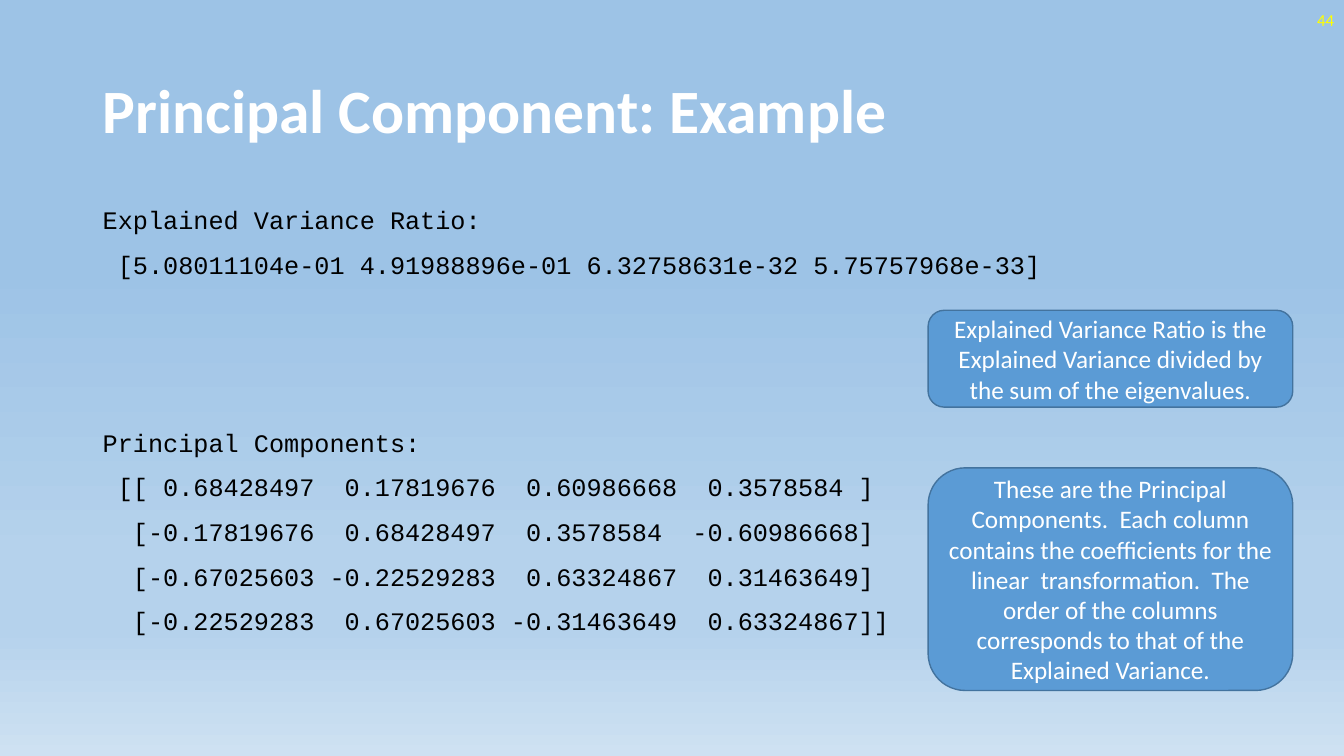
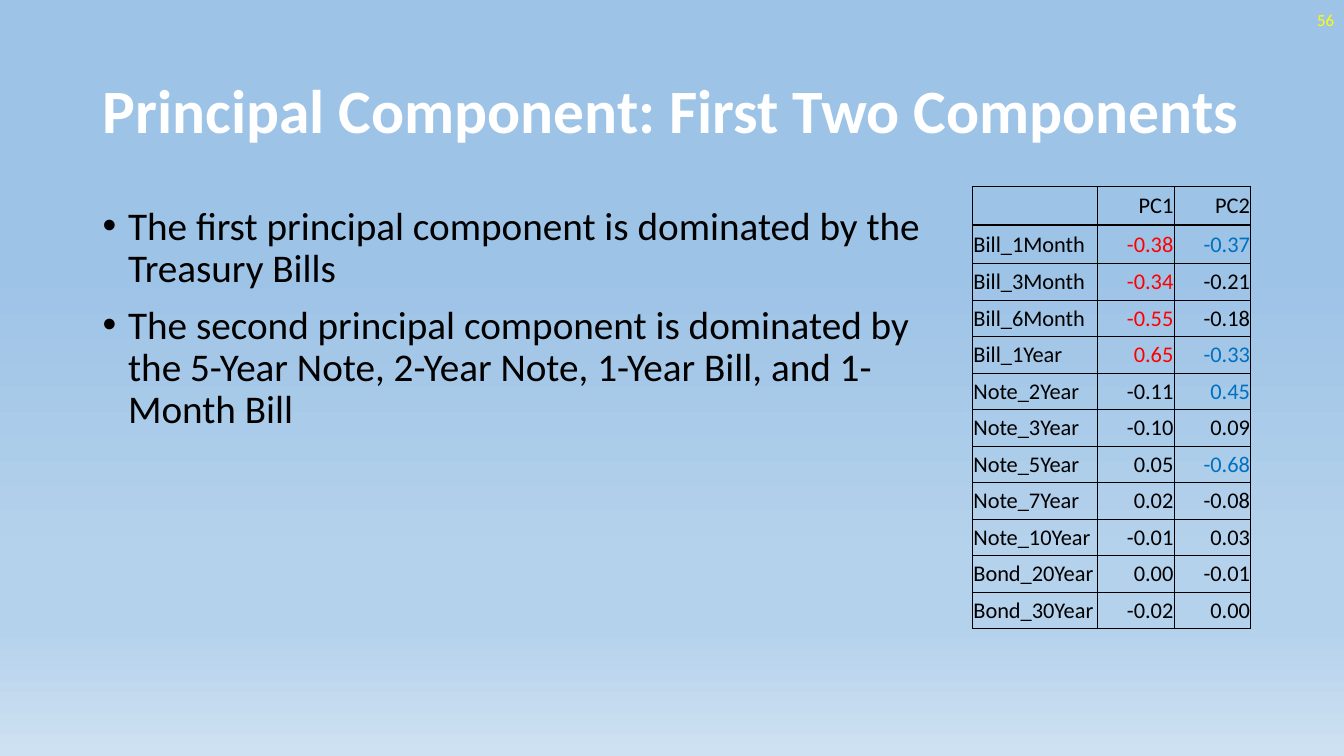
from lxml import etree
from pptx import Presentation
from pptx.dml.color import RGBColor
from pptx.enum import shapes, text
from pptx.oxml import ns
from pptx.util import Cm, Pt

# Content
VARIANCE_SLIDE = {
    "title": "Principal Component: Example",
    "number": "44",
    "outputs": [
        ["Explained Variance Ratio:",
         " [5.08011104e-01 4.91988896e-01 6.32758631e-32 5.75757968e-33]"],
        ["Principal Components:",
         " [[ 0.68428497  0.17819676  0.60986668  0.3578584 ]",
         "  [-0.17819676  0.68428497  0.3578584  -0.60986668]",
         "  [-0.67025603 -0.22529283  0.63324867  0.31463649]",
         "  [-0.22529283  0.67025603 -0.31463649  0.63324867]]"],
    ],
    # top and height in cm, then the wording
    "callouts": [
        (7.82, 2.44, "Explained Variance Ratio is the Explained Variance divided by "
                     "the sum of the eigenvalues."),
        (11.79, 5.61, "These are the Principal Components.  Each column contains the "
                      "coefficients for the linear  transformation.  The order of the "
                      "columns corresponds to that of the Explained Variance."),
    ],
}
LOADINGS_SLIDE = {
    "title": "Principal Component: First Two Components",
    "number": "56",
    "bullets": [
        "The first principal component is dominated by the Treasury Bills",
        "The second principal component is dominated by the 5-Year Note, "
        "2-Year Note, 1-Year Bill, and 1-Month Bill",
    ],
    "header": ("", "PC1", "PC2"),
    "loadings": [
        ("Bill_1Month", -0.38, -0.37),
        ("Bill_3Month", -0.34, -0.21),
        ("Bill_6Month", -0.55, -0.18),
        ("Bill_1Year", 0.65, -0.33),
        ("Note_2Year", -0.11, 0.45),
        ("Note_3Year", -0.10, 0.09),
        ("Note_5Year", 0.05, -0.68),
        ("Note_7Year", 0.02, -0.08),
        ("Note_10Year", -0.01, 0.03),
        ("Bond_20Year", 0.00, -0.01),
        ("Bond_30Year", -0.02, 0.00),
    ],
}

# Shared style
COLORS = {"title": "FFFFFF", "body": "000000", "number": "FFFF00",
          "callout": "5B9BD5", "outline": "43739E", "callout_text": "FFFFFF",
          "PC1": "FF0000", "PC2": "0070C0", "grid": "000000"}
BACKGROUND = [(35, "9DC3E6"), (74, "B5D2EC"), (83, "B5D2EC"), (100, "CEE1F2")]
SANS, MONO = "Calibri", "Courier New"
LEFT = 2.34
OUTPUT_TOP, OUTPUT_PITCH = 4.88, 1.12
OUTPUT_STARTS = (0, 5)      # line on which each printed block begins
DOMINANT = 0.3              # loadings at least this large are coloured
COLUMN_WIDTHS = (3.15, 1.93, 1.93)
ROW_HEIGHTS = [0.97] * 2 + [0.92] * 10


def rgb(name):
    return RGBColor.from_string(COLORS[name])


def write(paragraph, wording, size, color, font=SANS, bold=False):
    run = paragraph.add_run()
    run.text = wording
    run.font.size, run.font.name, run.font.bold = Pt(size), font, bold
    run.font.color.rgb = rgb(color)


def paragraphs(frame, count):
    return [frame.paragraphs[0]] + [frame.add_paragraph() for _ in range(count - 1)]


def add_text_frame(slide, left, top, width, height, anchor=text.MSO_ANCHOR.TOP):
    frame = slide.shapes.add_textbox(Cm(left), Cm(top), Cm(width), Cm(height)).text_frame
    frame.word_wrap = True
    frame.vertical_anchor = anchor
    return frame


def set_background(master):
    fill = master.background.fill
    fill.gradient()
    fill.gradient_angle = 270
    stops = next(master.element.cSld.iter(ns.qn("a:gsLst")))
    for stop in list(stops):
        stops.remove(stop)
    for percent, color in BACKGROUND:
        stop = etree.SubElement(stops, ns.qn("a:gs"), pos=str(percent * 1000))
        etree.SubElement(stop, ns.qn("a:srgbClr"), val=color)


def add_slide(prs, content):
    slide = prs.slides.add_slide(prs.slide_layouts[6])
    title = add_text_frame(slide, LEFT, 1.02, 29.21, 3.68, text.MSO_ANCHOR.MIDDLE)
    title.paragraphs[0].line_spacing = 0.9
    write(title.paragraphs[0], content["title"], 44, "title", bold=True)
    number = add_text_frame(slide, 26.25, 0, 7.62, 1.02, text.MSO_ANCHOR.MIDDLE)
    number.paragraphs[0].alignment = text.PP_ALIGN.RIGHT
    write(number.paragraphs[0], content["number"], 12, "number")
    return slide


def add_output(slide, lines, start):
    frame = add_text_frame(slide, LEFT, OUTPUT_TOP + start * OUTPUT_PITCH,
                           29.21, len(lines) * OUTPUT_PITCH + 0.3)
    for paragraph, line in zip(paragraphs(frame, len(lines)), lines):
        paragraph.line_spacing, paragraph.space_before = 1.2, Pt(6)
        write(paragraph, line, 18, "body", MONO)


def add_callout(slide, top, height, wording):
    callout = slide.shapes.add_shape(shapes.MSO_SHAPE.ROUNDED_RECTANGLE,
                                     Cm(23.39), Cm(top), Cm(9.19), Cm(height))
    callout.shadow.inherit = False
    callout.fill.solid()
    callout.fill.fore_color.rgb = rgb("callout")
    callout.line.color.rgb = rgb("outline")
    callout.line.width = Pt(1)
    frame = callout.text_frame
    frame.word_wrap = True
    frame.vertical_anchor = text.MSO_ANCHOR.MIDDLE
    frame.paragraphs[0].alignment = text.PP_ALIGN.CENTER
    write(frame.paragraphs[0], wording, 18, "callout_text")


def add_bullets(slide, points):
    frame = add_text_frame(slide, LEFT, 5.08, 21.49, 12.09)
    for paragraph, point in zip(paragraphs(frame, len(points)), points):
        paragraph.line_spacing, paragraph.space_before = 0.9, Pt(10)
        properties = paragraph._p.get_or_add_pPr()
        properties.set("marL", str(Cm(0.64)))
        properties.set("indent", str(-Cm(0.64)))
        etree.SubElement(properties, ns.qn("a:buFont"), typeface="Arial")
        etree.SubElement(properties, ns.qn("a:buChar"), char="•")
        write(paragraph, point, 28, "body")


def set_borders(cell, top, bottom):
    properties = cell._tc.get_or_add_tcPr()
    sides = (("L", 0.5), ("R", 0.5), ("T", top), ("B", bottom))
    for place, (side, width) in enumerate(sides):
        line = etree.Element(ns.qn(f"a:ln{side}"), w=str(Pt(width)))
        fill = etree.SubElement(line, ns.qn("a:solidFill"))
        etree.SubElement(fill, ns.qn("a:srgbClr"), val=COLORS["grid"])
        properties.insert(place, line)


def add_loadings(slide, header, loadings):
    rows = [header] + loadings
    table = slide.shapes.add_table(len(rows), len(header), Cm(24.51), Cm(4.7),
                                   Cm(sum(COLUMN_WIDTHS)), Cm(sum(ROW_HEIGHTS))).table
    table.first_row = table.horz_banding = False
    for column, width in zip(table.columns, COLUMN_WIDTHS):
        column.width = Cm(width)
    for r, (row, height) in enumerate(zip(rows, ROW_HEIGHTS)):
        table.rows[r].height = Cm(height)
        for c, value in enumerate(row):
            cell = table.cell(r, c)
            cell.fill.background()
            cell.margin_left = cell.margin_right = cell.margin_top = Cm(0.02)
            cell.margin_bottom = 0
            cell.vertical_anchor = text.MSO_ANCHOR.MIDDLE
            set_borders(cell, top=2 if r == 1 else 0.5, bottom=2 if r == 0 else 0.5)
            is_number = isinstance(value, float)
            color = header[c] if is_number and abs(value) >= DOMINANT else "body"
            paragraph = cell.text_frame.paragraphs[0]
            if c:
                paragraph.alignment = text.PP_ALIGN.RIGHT
            if value != "":
                write(paragraph, f"{value:.2f}" if is_number else value, 16, color)


def main():
    prs = Presentation()
    prs.slide_width, prs.slide_height = Cm(33.87), Cm(19.05)
    set_background(prs.slide_master)

    # Explained variance and components
    slide = add_slide(prs, VARIANCE_SLIDE)
    for lines, start in zip(VARIANCE_SLIDE["outputs"], OUTPUT_STARTS):
        add_output(slide, lines, start)
    for callout in VARIANCE_SLIDE["callouts"]:
        add_callout(slide, *callout)

    # Loadings of the first two components
    slide = add_slide(prs, LOADINGS_SLIDE)
    add_bullets(slide, LOADINGS_SLIDE["bullets"])
    add_loadings(slide, LOADINGS_SLIDE["header"], LOADINGS_SLIDE["loadings"])

    prs.save("out.pptx")


if __name__ == "__main__":
    main()
